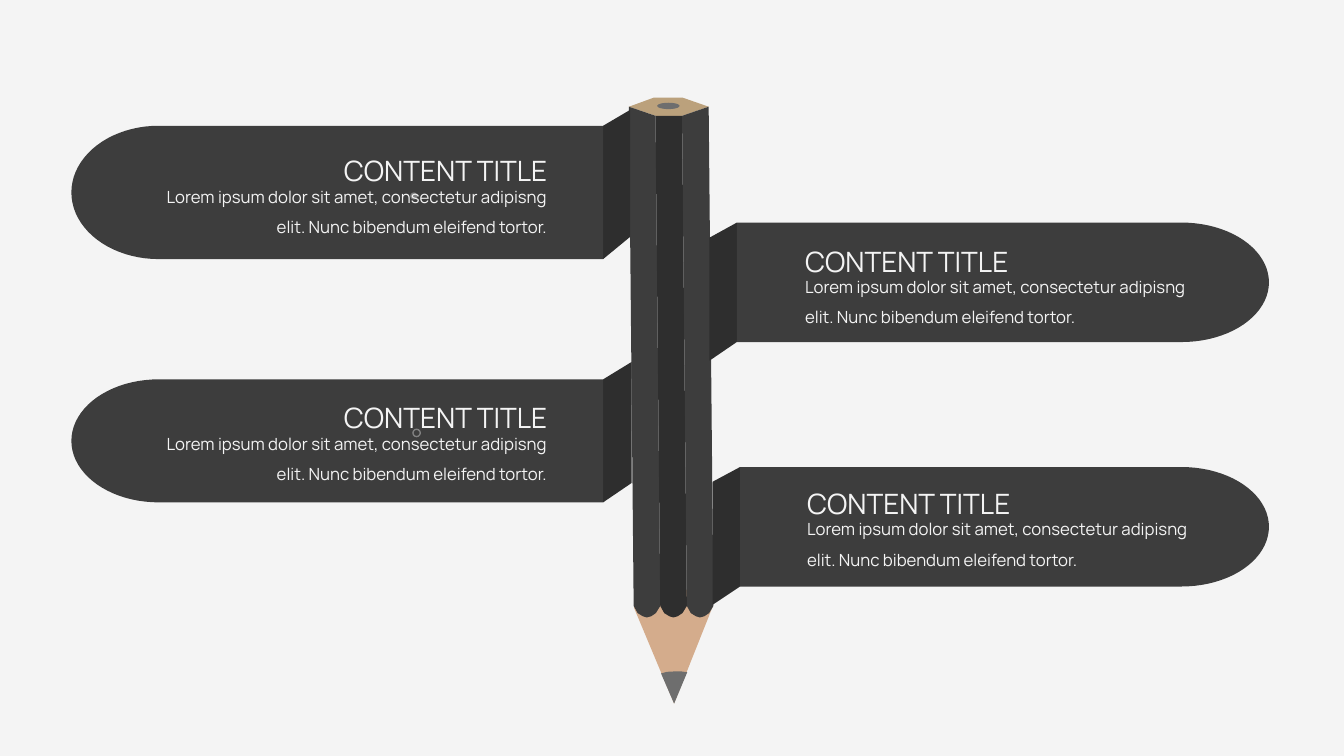
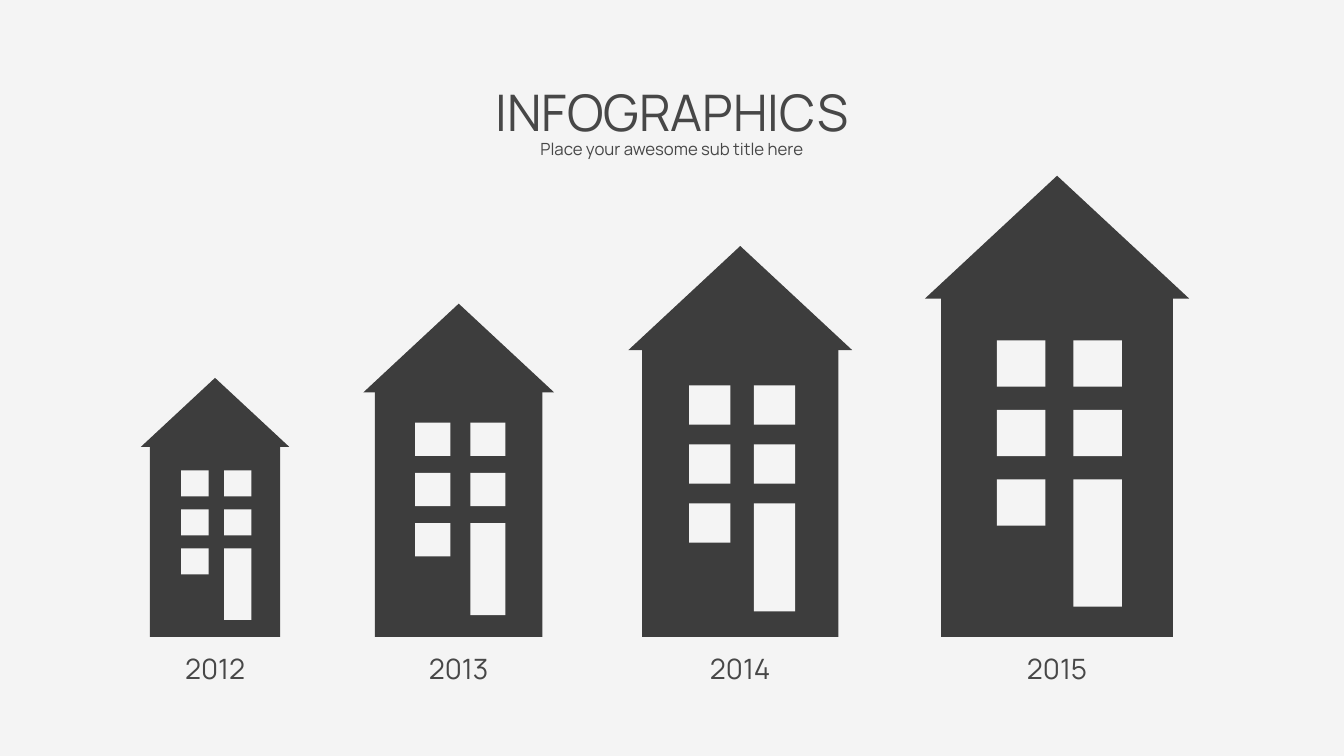
from dataclasses import dataclass
from math import cos, pi, sin

from pptx import Presentation
from pptx.dml.color import RGBColor
from pptx.enum.shapes import MSO_SHAPE
from pptx.enum.text import MSO_AUTO_SIZE, PP_ALIGN
from pptx.util import Cm, Pt

RECT, ROOF = MSO_SHAPE.RECTANGLE, MSO_SHAPE.ISOSCELES_TRIANGLE
OVAL, RING = MSO_SHAPE.OVAL, MSO_SHAPE.DONUT
LEFT, RIGHT, MID = PP_ALIGN.LEFT, PP_ALIGN.RIGHT, PP_ALIGN.CENTER
GROW = MSO_AUTO_SIZE.SHAPE_TO_FIT_TEXT


@dataclass(frozen=True)
class Theme:
    font: str = "Manrope"
    paper: str = "F4F4F4"
    ink: str = "474747"
    dark: str = "3D3D3D"
    shade: str = "2E2E2E"
    lead: str = "6E6E6E"
    cap: str = "BBA17C"
    wood: str = "D4AC8C"
    mark: str = "818181"
    head: int = 36
    title: int = 20
    body: int = 12
    lines: float = 1.5


@dataclass(frozen=True)
class Ribbon:
    """A banner from base to tip, with a fold from base to the pencil."""
    tip: float
    base: float
    top: float
    foot: float
    fold: tuple  # x, top and foot at the pencil
    text: tuple  # left and top of the title


THEME = Theme()
WIDTH, HEIGHT = 33.87, 19.05
TITLE = "CONTENT TITLE"
BODY = ("Lorem ipsum dolor sit amet, consectetur adipisng elit. "
        "Nunc bibendum eleifend tortor.")
RIBBONS = (
    Ribbon(31.98, 18.57, 5.61, 8.62, (17.88, 5.99, 9.09), (20.04, 5.61)),
    Ribbon(31.98, 18.65, 11.77, 14.78, (17.96, 12.14, 15.24), (20.09, 11.71)),
    Ribbon(1.8, 15.2, 3.17, 6.53, (15.88, 2.77, 5.97), (3.58, 3.33)),
    Ribbon(1.8, 15.2, 9.56, 12.66, (15.92, 9.12, 12.17), (3.58, 9.55)),
)
# year, left edge and width of each house
HOUSES = (("2012", 3.78, 3.28), ("2013", 9.45, 4.22),
          ("2014", 16.18, 4.95), ("2015", 23.72, 5.84))
GROUND = 16.05


def paint(shape, color):
    shape.shadow.inherit = False
    shape.fill.solid()
    shape.fill.fore_color.rgb = RGBColor.from_string(color)
    shape.line.fill.background()
    return shape


def block(slide, kind, x, y, w, h, color):
    shape = slide.shapes.add_shape(kind, Cm(x), Cm(y), Cm(w), Cm(h))
    return paint(shape, color)


def outline(slide, points, color):
    first, *rest = [(Cm(x), Cm(y)) for x, y in points]
    pen = slide.shapes.build_freeform(*first)
    pen.add_line_segments(rest, close=True)
    return paint(pen.convert_to_shape(), color)


def label(slide, text, x, y, w, h, size, color, align):
    box = slide.shapes.add_textbox(Cm(x), Cm(y), Cm(w), Cm(h))
    frame = box.text_frame
    frame.word_wrap = True
    frame.auto_size = GROW
    para = frame.paragraphs[0]
    para.alignment = align
    para.line_spacing = THEME.lines
    run = para.add_run()
    run.text = text
    run.font.name = THEME.font
    run.font.size = Pt(size)
    run.font.color.rgb = RGBColor.from_string(color)


def draw_pencil(slide):
    left, step, lean, foot = 15.85, 0.67, 0.12, 15.27
    tops = (2.69, 2.92, 2.92, 2.69)
    curve = ((0, 0), (0.1, 0.18), (0.23, 0.26), (0.33, 0.29),
             (0.44, 0.26), (0.56, 0.18), (step, 0))
    edges = [left + step * i for i in range(4)]
    rim = list(zip(edges, tops))

    outline(slide, rim + [(17.2, 2.46), (16.48, 2.46)], THEME.cap)
    block(slide, OVAL, 16.56, 2.59, 0.57, 0.16, THEME.lead)
    outline(slide, [(17.96, 15.29), (16.99, 17.73), (15.98, 15.32),
                    (15.98, 14.86), (17.96, 14.86)], THEME.wood)
    for i, color in enumerate((THEME.dark, THEME.shade, THEME.dark)):
        base = [(edges[i] + lean + x, foot + y) for x, y in curve]
        outline(slide, [rim[i + 1], rim[i]] + base, color)
    outline(slide, [(16.66, 16.97), (16.81, 16.93), (17, 16.92),
                    (17.17, 16.92), (17.32, 16.94), (16.99, 17.73)],
            THEME.lead)


def draw_ribbon(slide, item):
    side = 1 if item.tip > item.base else -1
    bend, steps = 2.2, 40
    half = (item.foot - item.top) / 2
    turns = [pi * i / steps - pi / 2 for i in range(steps + 1)]
    arc = [(item.tip + side * bend * (cos(t) - 1),
            item.top + half * (1 + sin(t))) for t in turns]
    ends = [(item.base, item.foot), (item.base, item.top)]
    x, top, foot = item.fold
    outline(slide, ends + [(x, top), (x, foot)], THEME.shade)
    outline(slide, arc + ends, THEME.dark)


def write_ribbon(slide, item):
    x, y = item.text
    align = LEFT if item.tip > item.base else RIGHT
    label(slide, BODY, x, y + 0.99, 10.46, 1.7, THEME.body, THEME.paper, align)
    label(slide, TITLE, x, y, 10.46, 1.4, THEME.title, THEME.paper, align)


def draw_house(slide, year, x, w):
    """Draw a house whose parts are all shares of its width."""
    top = GROUND - 1.48 * w

    def part(kind, dx, dy, pw, ph, color):
        block(slide, kind, x + dx * w, top + dy * w, pw * w, ph * w, color)

    part(RECT, 0, 0, 1, 1.48, THEME.dark)
    part(ROOF, -0.07, -0.51, 1.14, 0.53, THEME.dark)
    for row in range(3):
        for col in (0.24, 0.57):
            door = row == 2 and col == 0.57
            part(RECT, col, 0.2 + 0.3 * row, 0.21,
                 0.55 if door else 0.2, THEME.paper)
    wide = 5.23
    label(slide, year, x + (w - wide) / 2, 15.86, wide, 1.4,
          THEME.title, THEME.ink, MID)


def pencil_slide(slide):
    draw_pencil(slide)
    for item in RIBBONS:
        draw_ribbon(slide, item)
    ring = block(slide, RING, 10.39, 10.8, 0.22, 0.22, THEME.mark)
    ring.adjustments[0] = 0.16
    block(slide, OVAL, 10.34, 4.85, 0.18, 0.18, THEME.mark)
    for item in RIBBONS:
        write_ribbon(slide, item)


def house_slide(slide):
    wide = 30.7
    x = (WIDTH - wide) / 2
    label(slide, "Place your awesome sub title here", x, 3.12, wide, 0.79,
          THEME.body, THEME.ink, MID)
    label(slide, "INFOGRAPHICS", x, 1.17, wide, 2.57,
          THEME.head, THEME.ink, MID)
    for house in HOUSES:
        draw_house(slide, *house)


def main():
    deck = Presentation()
    deck.slide_width, deck.slide_height = Cm(WIDTH), Cm(HEIGHT)
    back = deck.slide_master.background.fill
    back.solid()
    back.fore_color.rgb = RGBColor.from_string(THEME.paper)
    blank = deck.slide_layouts[6]
    for build in (pencil_slide, house_slide):
        build(deck.slides.add_slide(blank))
    deck.save("out.pptx")


if __name__ == "__main__":
    main()
